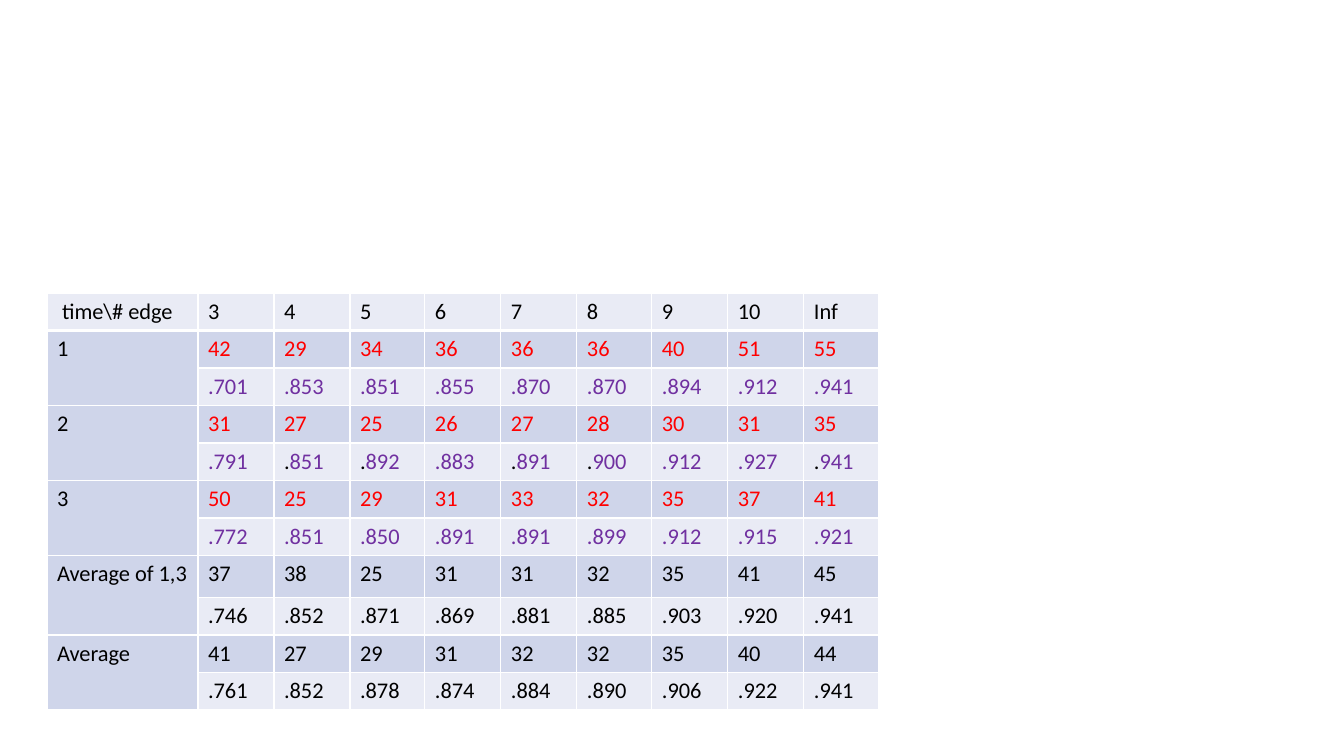
import pptx
import pptx.dml.color
import pptx.oxml
import pptx.oxml.ns
import pptx.util

RGBColor = pptx.dml.color.RGBColor
BLACK = RGBColor(0x00, 0x00, 0x00)
RED = RGBColor(0xFF, 0x00, 0x00)
PURPLE = RGBColor(0x70, 0x30, 0xA0)
WHITE = RGBColor(0xFF, 0xFF, 0xFF)
LIGHT_BAND = RGBColor(0xE9, 0xEB, 0xF5)
DARK_BAND = RGBColor(0xCF, 0xD5, 0xEA)

HEADER = [" time\\# edge", "3", "4", "5", "6", "7", "8", "9", "10", "Inf"]
GROUPS = [
    ("1", RED, PURPLE,
     "42 29 34 36 36 36 40 51 55",
     ".701 .853 .851 .855 .870 .870 .894 .912 .941"),
    ("2", RED, PURPLE,
     "31 27 25 26 27 28 30 31 35",
     ".791 .851 .892 .883 .891 .900 .912 .927 .941"),
    ("3", RED, PURPLE,
     "50 25 29 31 33 32 35 37 41",
     ".772 .851 .850 .891 .891 .899 .912 .915 .921"),
    ("Average of 1,3", BLACK, BLACK,
     "37 38 25 31 31 32 35 41 45",
     ".746 .852 .871 .869 .881 .885 .903 .920 .941"),
    ("Average", BLACK, BLACK,
     "41 27 29 31 32 32 35 40 44",
     ".761 .852 .878 .874 .884 .890 .906 .922 .941"),
]
BLACK_POINTS = {(4, 2), (4, 3), (4, 5), (4, 6), (4, 9)}

PX_PER_INCH = 100.8
SLIDE_WIDTH, SLIDE_HEIGHT = 1344, 756
TABLE_LEFT, TABLE_TOP = 47, 293
LABEL_WIDTH, VALUE_WIDTH = 151, 76
ROW_HEIGHT, TALL_ROW_HEIGHT, TALL_ROW = 37, 42, 7


def px(length):
    return pptx.util.Inches(length / PX_PER_INCH)


def add_text(cell, pieces):
    para = cell.text_frame.paragraphs[0]
    for text, color in pieces:
        span = para.add_run()
        span.text = text
        span.font.name = "Calibri"
        span.font.size = pptx.util.Pt(16)
        span.font.bold = False
        span.font.color.rgb = color


def style_cell(cell, row):
    cell.fill.solid()
    cell.fill.fore_color.rgb = DARK_BAND if row % 2 else LIGHT_BAND
    properties = cell._tc.get_or_add_tcPr()
    widths = {"L": 1, "R": 1, "T": 3 if row == 1 else 1, "B": 3 if row == 0 else 1}
    for position, (side, width) in enumerate(widths.items()):
        properties.insert(position, pptx.oxml.parse_xml(
            f'<a:ln{side} {pptx.oxml.ns.nsdecls("a")} w="{pptx.util.Pt(width)}">'
            f'<a:solidFill><a:srgbClr val="{WHITE}"/></a:solidFill></a:ln{side}>'))


def fill_table(table):
    for column, text in enumerate(HEADER):
        add_text(table.cell(0, column), [(text, BLACK)])
    for group, (label, time_color, score_color, times, scores) in enumerate(GROUPS):
        top = 1 + 2 * group
        add_text(table.cell(top, 0), [(label, BLACK)])
        table.cell(top, 0).merge(table.cell(top + 1, 0))
        for row, values, color in ((top, times, time_color), (top + 1, scores, score_color)):
            for column, value in enumerate(values.split(), 1):
                pieces = [(value, color)]
                if (row, column) in BLACK_POINTS:
                    pieces = [(value[0], BLACK), (value[1:], color)]
                add_text(table.cell(row, column), pieces)


def main():
    deck = pptx.Presentation()
    deck.slide_width, deck.slide_height = px(SLIDE_WIDTH), px(SLIDE_HEIGHT)
    page = deck.slides.add_slide(deck.slide_layouts[6])

    widths = [LABEL_WIDTH] + [VALUE_WIDTH - 1 if column % 3 == 0 else VALUE_WIDTH
                              for column in range(1, len(HEADER))]
    heights = [TALL_ROW_HEIGHT if row == TALL_ROW else ROW_HEIGHT
               for row in range(1 + 2 * len(GROUPS))]
    frame = page.shapes.add_table(len(heights), len(widths), px(TABLE_LEFT), px(TABLE_TOP),
                                  px(sum(widths)), px(sum(heights)))
    table = frame.table
    table.first_row = False
    table.horz_banding = False
    for column, width in zip(table.columns, widths):
        column.width = px(width)
    for row, height in zip(table.rows, heights):
        row.height = px(height)

    fill_table(table)
    for row in range(len(heights)):
        for column in range(len(widths)):
            cell = table.cell(row, column)
            style_cell(cell, row - 1 if cell.is_spanned else row)

    deck.save("out.pptx")


if __name__ == "__main__":
    main()
